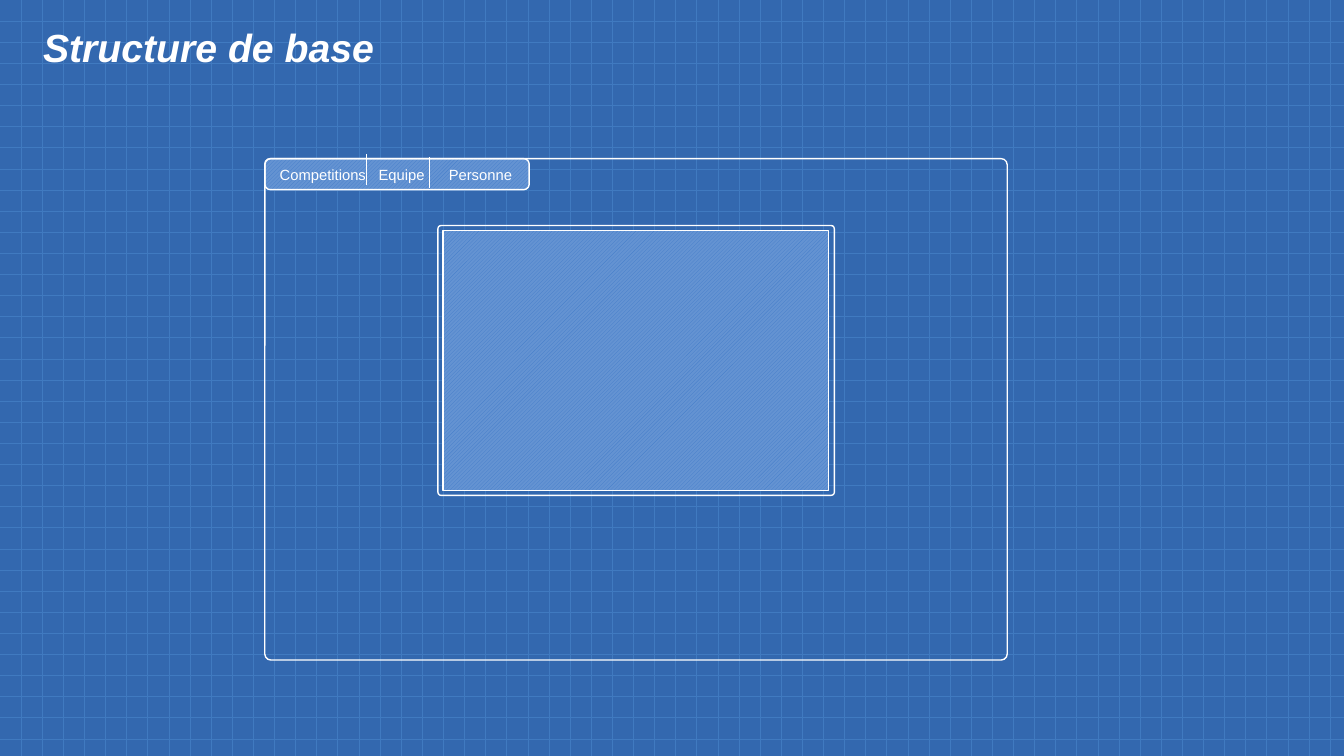
from lxml import etree
from pptx import Presentation
from pptx import util as u
from pptx.dml.color import RGBColor
from pptx.enum import dml, shapes, text
from pptx.oxml.ns import qn

WHITE = "FFFFFF"


def color(value):
    return RGBColor.from_string(value)


def write(frame, words, size, bold=False, italic=False, spacing=None):
    frame.word_wrap = True
    frame.vertical_anchor = text.MSO_ANCHOR.MIDDLE
    frame.margin_left = frame.margin_right = u.Pt(7.2)
    frame.margin_top = frame.margin_bottom = u.Pt(3)
    paragraph = frame.paragraphs[0]
    paragraph.alignment = text.PP_ALIGN.LEFT
    paragraph.line_spacing = spacing
    run = paragraph.add_run()
    run.text = words
    run.font.name = "Arial"
    run.font.size = u.Pt(size)
    run.font.bold = bold
    run.font.italic = italic
    run.font.color.rgb = color(WHITE)
    return paragraph


deck = Presentation()
deck.slide_width, deck.slide_height = u.Pt(720), u.Pt(405)
slide = deck.slides.add_slide(deck.slide_layouts[5])

backdrop = slide.background.fill
backdrop.patterned()
backdrop.pattern = dml.MSO_PATTERN.DOTTED_GRID
backdrop.fore_color.rgb = color("407AC0")
backdrop.back_color.rgb = color("3368AF")

title = slide.shapes.title
title.left, title.top = u.Pt(15.84), u.Pt(11.5)
title.width, title.height = u.Pt(688.3), u.Pt(30.2)
write(title.text_frame, "Structure de base", 21, bold=True, italic=True, spacing=0.9)

ROUND, SQUARE = shapes.MSO_SHAPE.ROUNDED_RECTANGLE, shapes.MSO_SHAPE.RECTANGLE
panels = [
    (ROUND, 234.6, 120.8, 212.4, 144.6, 0.012, False),
    (SQUARE, 237.4, 123.6, 206.6, 139.2, None, True),
    (ROUND, 141.9, 85, 141.6, 16.6, 0.17, True),
    (ROUND, 141.9, 85, 397.7, 268.6, 0.012, False),
]
drawn = []
for outline, left, top, width, height, corner, hatched in panels:
    panel = slide.shapes.add_shape(outline, u.Pt(left), u.Pt(top), u.Pt(width), u.Pt(height))
    panel.shadow.inherit = False
    panel.line.color.rgb = color(WHITE)
    panel.line.width = u.Pt(0.75)
    if corner:
        panel.adjustments[0] = corner
    if hatched:
        panel.fill.patterned()
        panel.fill.pattern = dml.MSO_PATTERN.LIGHT_UPWARD_DIAGONAL
        panel.fill.fore_color.rgb = color("437CC9")
        panel.fill.back_color.rgb = color("6493D2")
    else:
        panel.fill.background()
    drawn.append(panel)

image_frame, image_area, menu_bar, window = drawn
menu = write(menu_bar.text_frame, "Competitions\tEquipe\tPersonne", 7.9)
tab_list = etree.SubElement(menu._p.get_or_add_pPr(), qn("a:tabLst"))
for stop in (53, 90.6):
    etree.SubElement(tab_list, qn("a:tab"), pos=str(u.Pt(stop)), algn="l")

for x, top in ((196.4, 82.6), (230.2, 84.1)):
    divider = slide.shapes.add_connector(
        shapes.MSO_CONNECTOR.STRAIGHT, u.Pt(x), u.Pt(top), u.Pt(x), u.Pt(top + 16.6))
    divider.line.color.rgb = color(WHITE)
    divider.line.width = u.Pt(0.75)
    etree.SubElement(divider._element.spPr, qn("a:effectLst"))

deck.save("out.pptx")
